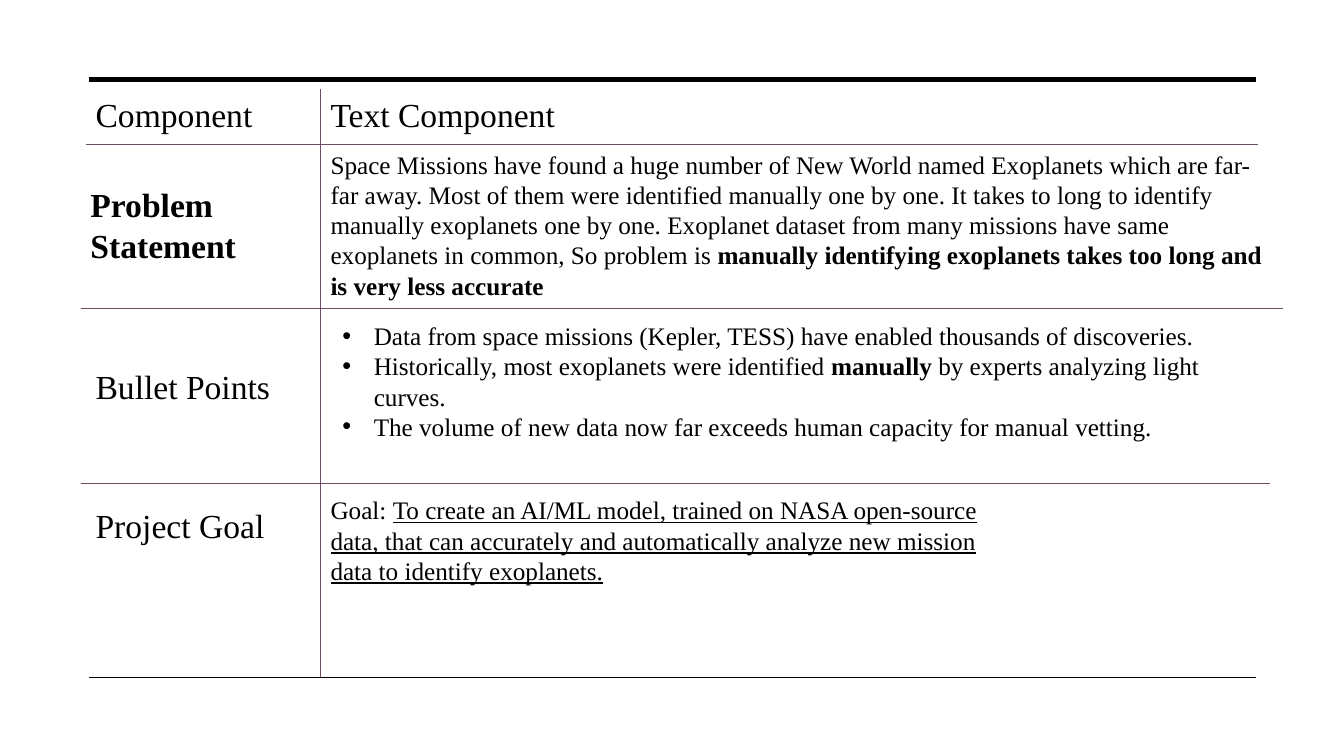
import pptx
import pptx.dml.color
import pptx.enum.shapes
import pptx.util
from lxml import etree
from pptx.oxml.ns import qn

Cm, Pt = pptx.util.Cm, pptx.util.Pt

FONT = "Times New Roman"
BLACK, PLUM = "000000", "734B67"
LABEL_SIZE, BODY_SIZE = 24, 18
BULLET_INDENT = Cm(0.79)
TOP, BOTTOM = 2.01, 17.07
DIVIDER_X = 8.08

# x1, y1, x2, y2 in cm, colour, width in points
RULES = [
    (2.24, TOP, 31.65, TOP, BLACK, 3.5),
    (2.24, BOTTOM, 31.65, BOTTOM, BLACK, 1),
    (2.16, 3.63, 31.7, 3.63, PLUM, 0.5),
    (DIVIDER_X, 2.24, DIVIDER_X, BOTTOM, PLUM, 0.5),
    (2.03, 7.77, 32.33, 7.77, PLUM, 0.5),
    (2.03, 12.19, 32, 12.19, PLUM, 0.5),
]

# left, top, width, height in cm, text, bold
LABELS = [
    (2.16, 2.24, 4.88, 1.28, "Component", False),
    (DIVIDER_X, 2.24, 7.9, 1.28, "Text Component", False),
    (2.03, 4.52, 5.44, 2.31, "Problem Statement", True),
    (2.16, 9.09, 16.64, 1.28, "Bullet Points", False),
    (2.16, 12.6, 5.28, 1.28, "Project Goal", False),
]

# Each paragraph is a list of (text, style) spans
PROBLEM = [[
    ("Space Missions have found a huge number of New World named Exoplanets "
     "which are far-far away. Most of them were identified manually one by one. "
     "It takes to long to identify manually exoplanets one by one. Exoplanet "
     "dataset from many missions have same exoplanets in common, So problem is ", ""),
    ("manually identifying exoplanets takes too long and is very less accurate", "bold"),
]]
POINTS = [
    [("Data from space missions (Kepler, TESS) have enabled thousands of discoveries.", "")],
    [("Historically, most exoplanets were identified ", ""),
     ("manually", "bold"),
     (" by experts analyzing light curves.", "")],
    [("The volume of new data now far exceeds human capacity for manual vetting.", "")],
]
GOAL = [[
    ("Goal: ", ""),
    ("To create an AI/ML model, trained on NASA open-source data, that can accurately "
     "and automatically analyze new mission data to identify exoplanets.", "underline"),
]]

# left, top, width, height in cm, paragraphs, bulleted
BODIES = [
    (DIVIDER_X, 3.63, 24.26, 4.11, PROBLEM, False),
    (8.38, 7.95, 23.62, 3.33, POINTS, True),
    (DIVIDER_X, 12.34, 16.94, 2.57, GOAL, False),
]


def colour(hex_text):
    return pptx.dml.color.RGBColor.from_string(hex_text)


def add_rule(page, x1, y1, x2, y2, line_colour, width):
    rule = page.shapes.add_connector(
        pptx.enum.shapes.MSO_CONNECTOR.STRAIGHT, Cm(x1), Cm(y1), Cm(x2), Cm(y2))
    rule.line.color.rgb = colour(line_colour)
    rule.line.width = Pt(width)
    etree.SubElement(rule._element.spPr, qn("a:effectLst"))


def add_bullet(para):
    properties = para._p.get_or_add_pPr()
    properties.set("marL", str(BULLET_INDENT))
    properties.set("indent", str(-BULLET_INDENT))
    etree.SubElement(properties, qn("a:buFont"), typeface="Arial")
    etree.SubElement(properties, qn("a:buChar"), char="•")


def add_text(page, left, top, width, height, paragraphs, size, bulleted=False):
    box = page.shapes.add_textbox(Cm(left), Cm(top), Cm(width), Cm(height))
    frame = box.text_frame
    frame.word_wrap = True
    for index, spans in enumerate(paragraphs):
        para = frame.add_paragraph() if index else frame.paragraphs[0]
        if bulleted:
            add_bullet(para)
        for text, style in spans:
            span = para.add_run()
            span.text = text
            span.font.name = FONT
            span.font.size = Pt(size)
            span.font.color.rgb = colour(BLACK)
            span.font.bold = style == "bold"
            span.font.underline = style == "underline"


def main():
    deck = pptx.Presentation()
    deck.slide_width, deck.slide_height = Cm(33.87), Cm(19.05)
    page = deck.slides.add_slide(deck.slide_layouts[6])
    for rule in RULES:
        add_rule(page, *rule)
    for *place, text, bold in LABELS:
        add_text(page, *place, [[(text, "bold" if bold else "")]], LABEL_SIZE)
    for *place, paragraphs, bulleted in BODIES:
        add_text(page, *place, paragraphs, BODY_SIZE, bulleted)
    deck.save("out.pptx")


if __name__ == "__main__":
    main()
